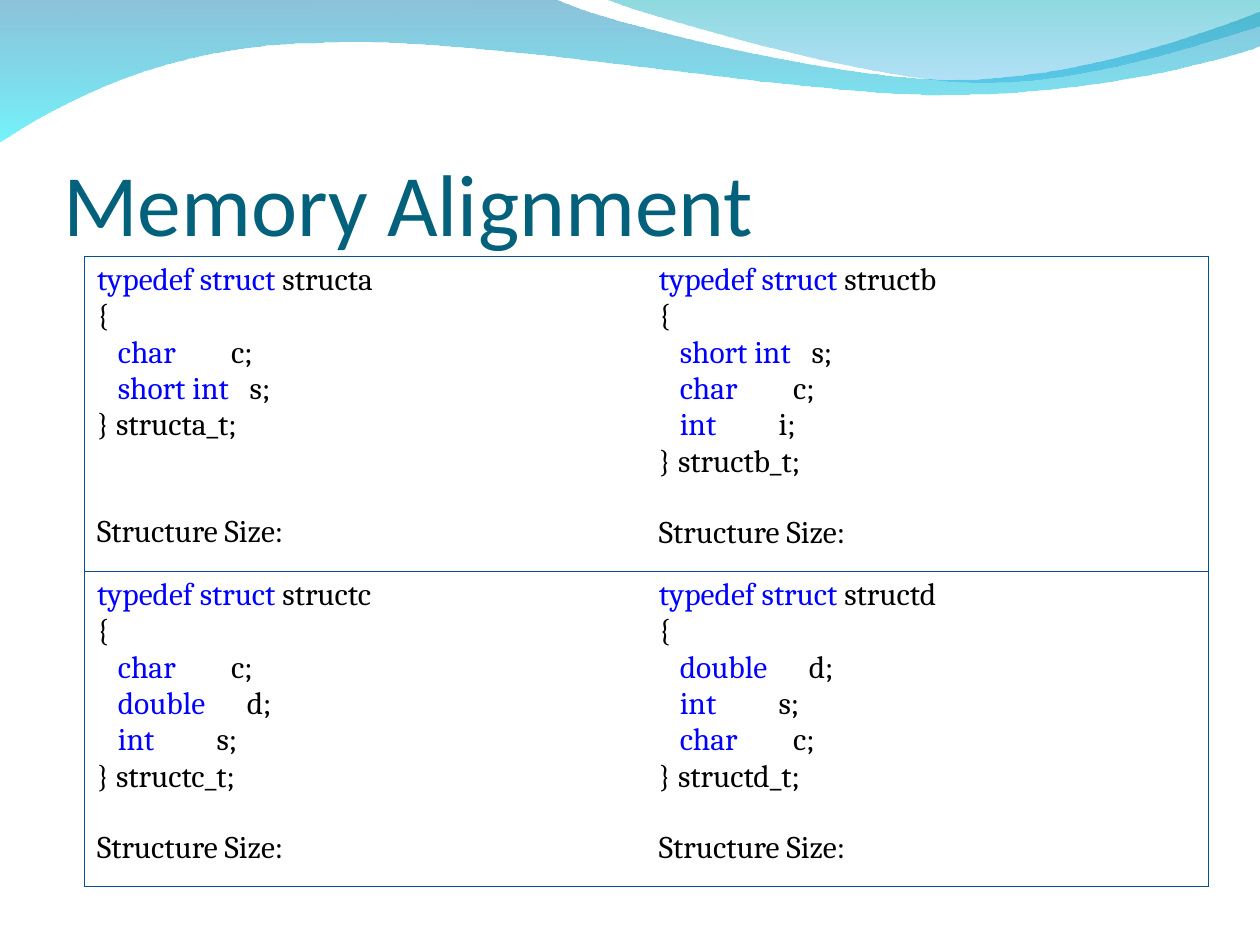
from lxml import etree
from pptx import Presentation
from pptx import util as u
from pptx.dml.color import RGBColor
from pptx.enum import text
from pptx.oxml.ns import qn

TITLE = RGBColor(0x04, 0x61, 0x7B)
KEYWORD = RGBColor(0x00, 0x00, 0xFF)
BLACK = RGBColor(0x00, 0x00, 0x00)
RULE = RGBColor(0x06, 0x50, 0x93)
TEAL_TOP, TEAL_END = RGBColor(0x00, 0x79, 0xAF), RGBColor(0x00, 0xEB, 0xF8)
BLUE_TOP, BLUE_END = RGBColor(0x00, 0xAD, 0xB6), RGBColor(0x00, 0x9B, 0xE5)

# Each segment holds one point for a line, three for a Bézier curve.
LONG_WAVE = [
    [(0, -0.01)], [(4.4, -0.01)],
    [(4.76, 0.17), (6.64, 0.63), (7.58, 0.63)],
    [(8.53, 0.63), (9.58, 0.26), (10, 0.09)],
    [(10.01, 0.36)],
    [(9.83, 0.44), (8.7, 0.76), (7.46, 0.75)],
    [(6.22, 0.75), (3.82, 0.28), (2.57, 0.34)],
    [(1.29, 0.35), (0.46, 0.83), (-0.01, 1.13)],
]
SHORT_WAVE = [
    [(4.79, -0.01)],
    [(5.09, 0.11), (6.82, 0.62), (7.69, 0.65)],
    [(8.56, 0.69), (9.61, 0.32), (10, 0.21)],
    [(10, 0)],
]

# Spaces between a type and its variable
PADDING = {"char": 8, "short int": 3, "double": 6, "int": 9}
STRUCTS = [
    [("structa", [("char", "c"), ("short int", "s")]),
     ("structb", [("short int", "s"), ("char", "c"), ("int", "i")])],
    [("structc", [("char", "c"), ("double", "d"), ("int", "s")]),
     ("structd", [("double", "d"), ("int", "s"), ("char", "c")])],
]
FIELD_LINES = 4
LINE_GAP = 20


def bend_curves(sp, segments):
    """Merge the lines drawn through each curve's three points into a Bézier."""
    lines = iter(list(sp._element.iter(qn("a:lnTo"))))
    for seg in segments[1:]:
        parts = [next(lines) for _ in seg]
        if len(parts) == 3:
            curve = etree.Element(qn("a:cubicBezTo"))
            parts[0].addprevious(curve)
            for part in parts:
                curve.append(part[0])
                part.getparent().remove(part)


def add_wave(s, segments, stops):
    """Add a wave with a vertical gradient of (colour, opacity %) stops."""
    pts = [(u.Inches(x), u.Inches(y)) for seg in segments for x, y in seg]
    builder = s.shapes.build_freeform(*pts[0])
    builder.add_line_segments(pts[1:], close=True)
    sp = builder.convert_to_shape()
    bend_curves(sp, segments)
    sp.shadow.inherit = False
    sp.line.fill.background()
    sp.fill.gradient()
    sp.fill.gradient_angle = 270
    for stop, (colour, _) in zip(sp.fill.gradient_stops, stops):
        stop.color.rgb = colour
    for clr, (_, opacity) in zip(sp._element.iter(qn("a:srgbClr")), stops):
        etree.SubElement(clr, qn("a:alpha"), val=str(opacity * 1000))


def format_title(s, words):
    title = s.shapes.title
    s.shapes._spTree.append(title._element)  # in front of the waves
    title.left, title.top = u.Inches(0.5), u.Inches(0.77)
    title.width, title.height = u.Inches(9), u.Inches(1.25)
    tf = title.text_frame
    tf.text = words
    tf.auto_size = text.MSO_AUTO_SIZE.NONE
    tf.vertical_anchor = text.MSO_ANCHOR.BOTTOM
    tf.margin_left = tf.margin_right = tf.margin_bottom = 0
    p = tf.paragraphs[0]
    p.alignment = text.PP_ALIGN.LEFT
    p.font.size, p.font.name = u.Pt(50), "Calibri"
    p.font.color.rgb = TITLE


def set_borders(cell, visible):
    """Rule the sides named in visible and clear the others."""
    tcPr = cell._tc.get_or_add_tcPr()
    for i, side in enumerate("LRTB"):
        ln = etree.Element(qn(f"a:ln{side}"), w=str(u.Pt(0.34)))
        if side in visible:
            fill = etree.SubElement(ln, qn("a:solidFill"))
            etree.SubElement(fill, qn("a:srgbClr"), val=str(RULE))
        else:
            etree.SubElement(ln, qn("a:noFill"))
        tcPr.insert(i, ln)


def struct_lines(name, fields):
    """Yield each line of a struct as (text, colour) runs."""
    yield [("typedef struct ", KEYWORD), (name, BLACK)]
    yield [("{", BLACK)]
    for kind, var in fields:
        yield [("   ", BLACK), (kind, KEYWORD),
               (" " * PADDING[kind] + var + ";", BLACK)]
    yield [("} " + name + "_t;", BLACK)]
    yield [("Structure Size:", BLACK)]


def fill_cell(cell, name, fields):
    cell.fill.background()
    tf = cell.text_frame
    for i, runs in enumerate(struct_lines(name, fields)):
        p = tf.add_paragraph() if i else tf.paragraphs[0]
        for words, colour in runs:
            r = p.add_run()
            r.text = words
            r.font.size, r.font.name = u.Pt(18), "Cambria"
            r.font.color.rgb = colour
    p.space_before = u.Pt(LINE_GAP * (FIELD_LINES - len(fields)))


def add_struct_table(s):
    table = s.shapes.add_table(2, 2, u.Inches(0.67), u.Inches(2.03),
                               u.Inches(8.92), u.Inches(5)).table
    table.first_row = table.horz_banding = False
    for row, structs in enumerate(STRUCTS):
        for col, (name, fields) in enumerate(structs):
            cell = table.cell(row, col)
            fill_cell(cell, name, fields)
            set_borders(cell, "TB" + "LR"[col])


def main():
    prs = Presentation()
    prs.slide_width, prs.slide_height = u.Inches(10), u.Inches(7.5)
    s = prs.slides.add_slide(prs.slide_layouts[5])
    add_wave(s, LONG_WAVE, [(TEAL_TOP, 45), (TEAL_END, 55)])
    add_wave(s, SHORT_WAVE, [(BLUE_TOP, 45), (BLUE_END, 30)])
    format_title(s, "Memory Alignment")
    add_struct_table(s)
    prs.save("out.pptx")


if __name__ == "__main__":
    main()
